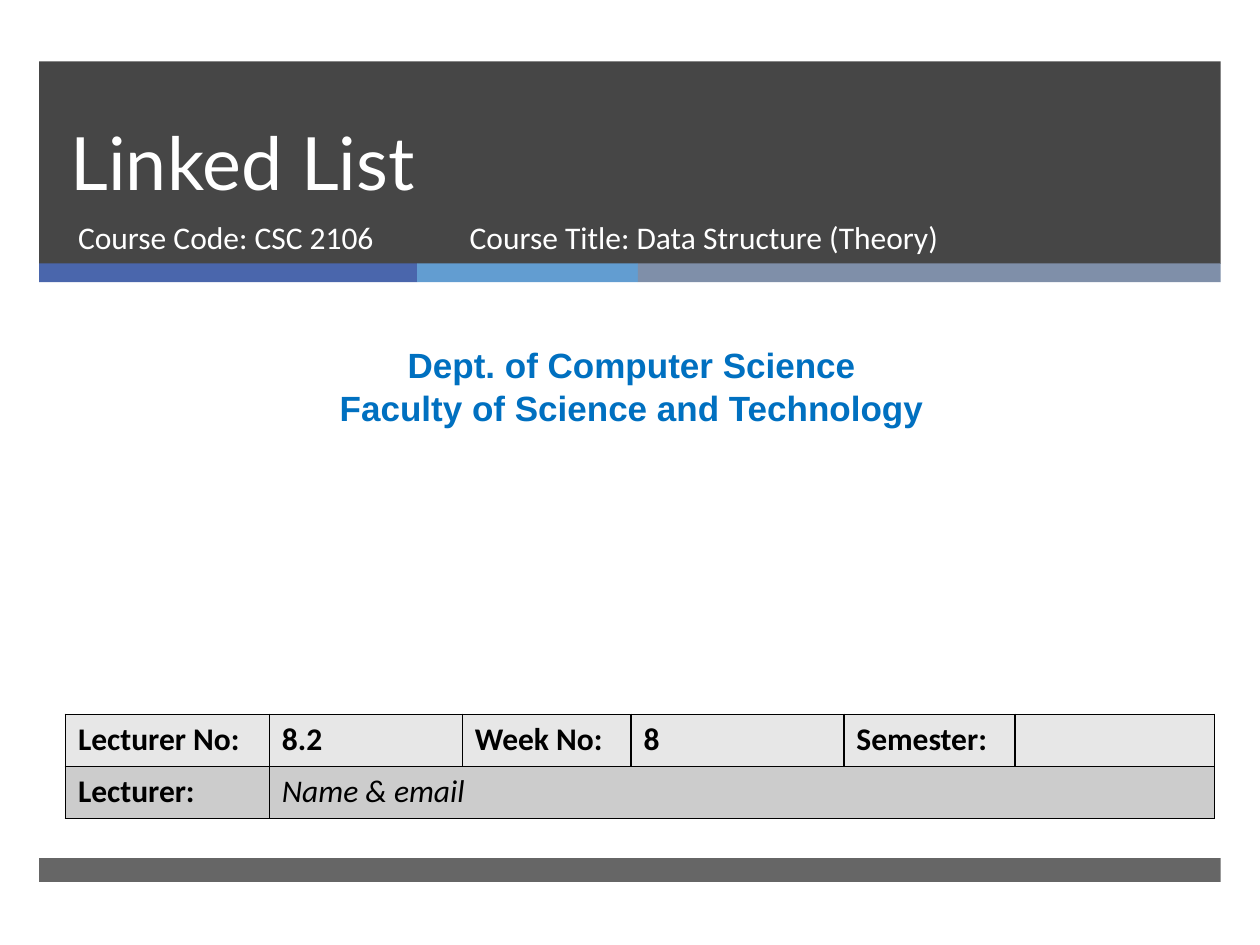
import dataclasses

import lxml.etree
import pptx
import pptx.dml.color
import pptx.enum.shapes
import pptx.enum.text
import pptx.oxml
import pptx.oxml.ns
import pptx.util

Cm = pptx.util.Cm
Pt = pptx.util.Pt
qn = pptx.oxml.ns.qn
Align = pptx.enum.text.PP_ALIGN
Anchor = pptx.enum.text.MSO_ANCHOR


@dataclasses.dataclass(frozen=True)
class Theme:
    dark: str = "262626"
    strip: tuple = ("4A66AC", "629DD1", "7F8FA9")
    light: str = "FFFFFF"
    dept: str = "0070C0"
    ink: str = "000000"
    rows: tuple = ("E7E7E7", "CCCCCC")
    head: str = "Lato"
    body: str = "Calibri"
    sans: str = "Arial"
    big: int = 42
    mid: int = 20
    small: int = 18


THEME = Theme()


def color(code):
    return pptx.dml.color.RGBColor.from_string(code)


def style(para, name, size, code, bold=False, italic=False, align=Align.LEFT):
    font = para.font
    font.name, font.size = name, Pt(size)
    font.bold, font.italic = bold, italic
    font.color.rgb = color(code)
    para.alignment = align
    para.space_before = Pt(0)


def place(shape, left, top, width, height):
    shape.left, shape.top = Cm(left), Cm(top)
    shape.width, shape.height = Cm(width), Cm(height)


def bar(slide, box, code, alpha=100):
    kind = pptx.enum.shapes.MSO_SHAPE.RECTANGLE
    shape = slide.shapes.add_shape(kind, *map(Cm, box))
    shape.shadow.inherit = False
    shape.fill.solid()
    shape.fill.fore_color.rgb = color(code)
    shape.line.fill.background()
    if alpha < 100:
        tint = shape.element.spPr.find(".//" + qn("a:srgbClr"))
        lxml.etree.SubElement(tint, qn("a:alpha"), val=str(alpha * 1000))


def write(shape, lines, anchor=Anchor.TOP, **look):
    frame = shape.text_frame
    frame.text = "\n".join(lines)
    frame.word_wrap = True
    frame.auto_size = pptx.enum.text.MSO_AUTO_SIZE.NONE
    frame.vertical_anchor = anchor
    for para in frame.paragraphs:
        style(para, **look)


def banner(slide, left, top, width, height):
    bar(slide, (left, top, width, height), THEME.dark, 85)
    x = left
    for part, code in zip((7.62, 4.45, 11.75), THEME.strip):
        bar(slide, (x, top + height - 0.01, part, 0.38), code)
        x += part

    title, code = slide.placeholders
    for holder in (title, code):
        holder.element.getparent().append(holder.element)
    place(title, left + 0.38, top, 21.69, 3.02)
    write(title, ["Linked List"], Anchor.BOTTOM,
          name=THEME.head, size=THEME.big, code=THEME.light)
    title.text_frame.paragraphs[0].line_spacing = Pt(46)

    small = dict(name=THEME.body, size=THEME.small, code=THEME.light)
    base = top + 3.03
    place(code, left + 0.53, base, 7.75, 1.35)
    write(code, ["Course Code: CSC 2106"], **small)
    course = slide.shapes.add_textbox(
        Cm(left + 8.43), Cm(base), Cm(11.56), Cm(1.35))
    write(course, ["Course Title: Data Structure (Theory)"], **small)


def dept(slide, *box):
    text = slide.shapes.add_textbox(*map(Cm, box))
    write(text, ["Dept. of Computer Science", "Faculty of Science and Technology"],
          name=THEME.sans, size=THEME.mid, code=THEME.dept,
          bold=True, align=Align.CENTER)


def border(cell):
    props = cell._tc.get_or_add_tcPr()
    for spot, side in enumerate(("lnL", "lnR", "lnT", "lnB")):
        line = lxml.etree.Element(qn("a:" + side), w=str(Pt(1)))
        fill = lxml.etree.SubElement(line, qn("a:solidFill"))
        lxml.etree.SubElement(fill, qn("a:srgbClr"), val=THEME.ink)
        props.insert(spot, line)


def info(slide, left, top, width, height):
    data = (("Lecturer No:", "8.2", "Week No:", "8", "Semester:", ""),
            ("Lecturer:", "Name & email", "", "", "", ""))
    cols = (4.11, 3.89, 3.4, 4.29, 3.45, 4.02)
    frame = slide.shapes.add_table(
        len(data), len(cols), Cm(left), Cm(top), Cm(width), Cm(height))
    table = frame.table
    for col, size in zip(table.columns, cols):
        col.width = Cm(size)
    for r, (row, shade) in enumerate(zip(data, THEME.rows)):
        for c, text in enumerate(row):
            cell = table.cell(r, c)
            cell.text = text
            cell.fill.solid()
            cell.fill.fore_color.rgb = color(shade)
            name = (r, c) == (1, 1)
            style(cell.text_frame.paragraphs[0], THEME.body, THEME.small,
                  THEME.ink, bold=not name, italic=name)
            border(cell)
    table.cell(1, 1).merge(table.cell(1, 5))


def main():
    deck = pptx.Presentation()
    deck.slide_width, deck.slide_height = Cm(25.4), Cm(19.05)
    slide = deck.slides.add_slide(deck.slide_layouts[0])
    banner(slide, 0.79, 1.24, 23.82, 4.08)
    bar(slide, (0.79, 17.3, 23.82, 0.48), THEME.dark, 70)
    dept(slide, 0.2, 6.81, 25.07, 1.96)
    info(slide, 1.32, 14.4, 23.16, 2.1)
    deck.save("out.pptx")


if __name__ == "__main__":
    main()
